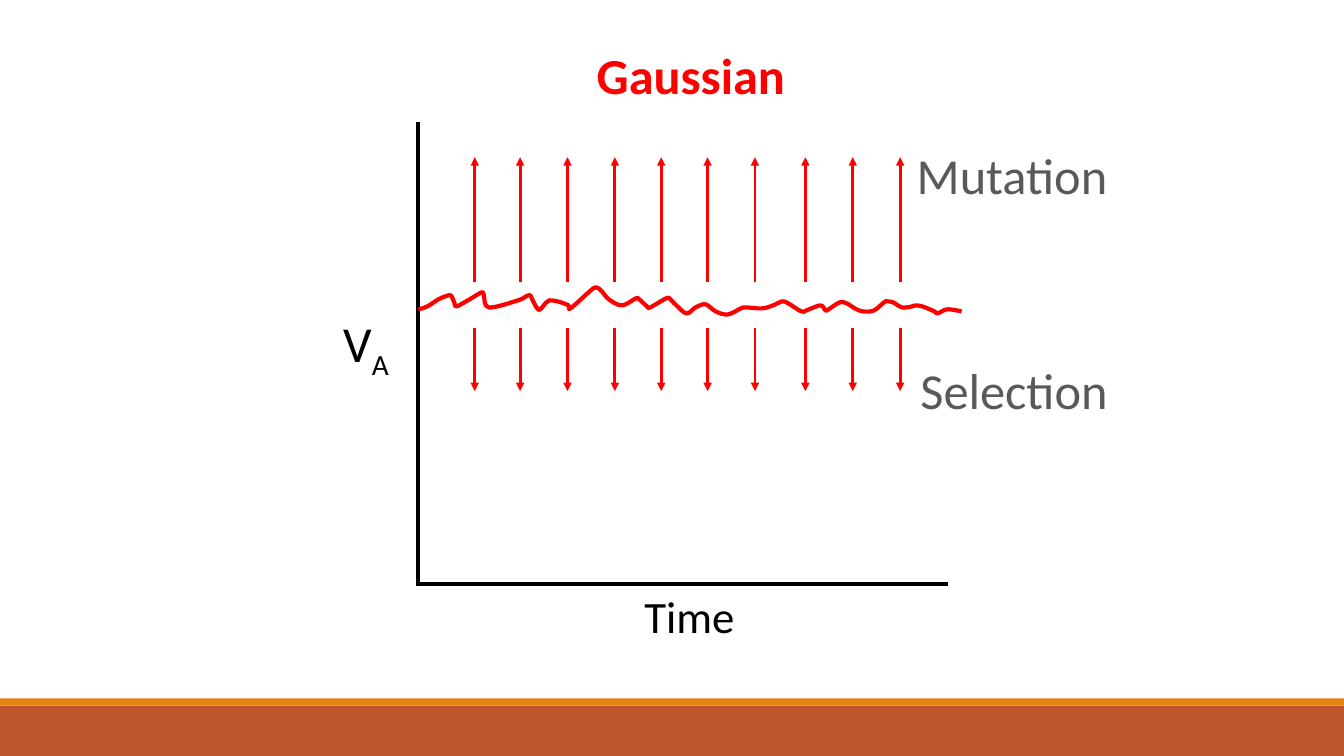
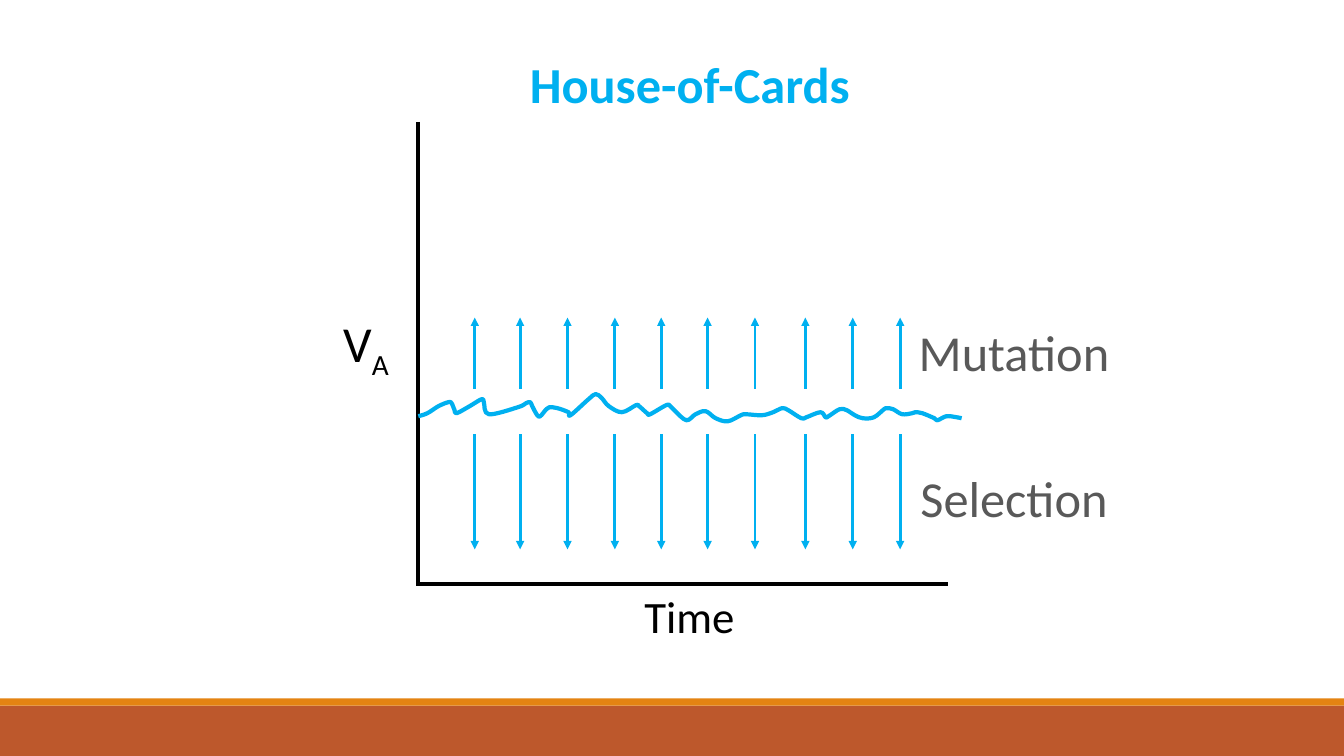
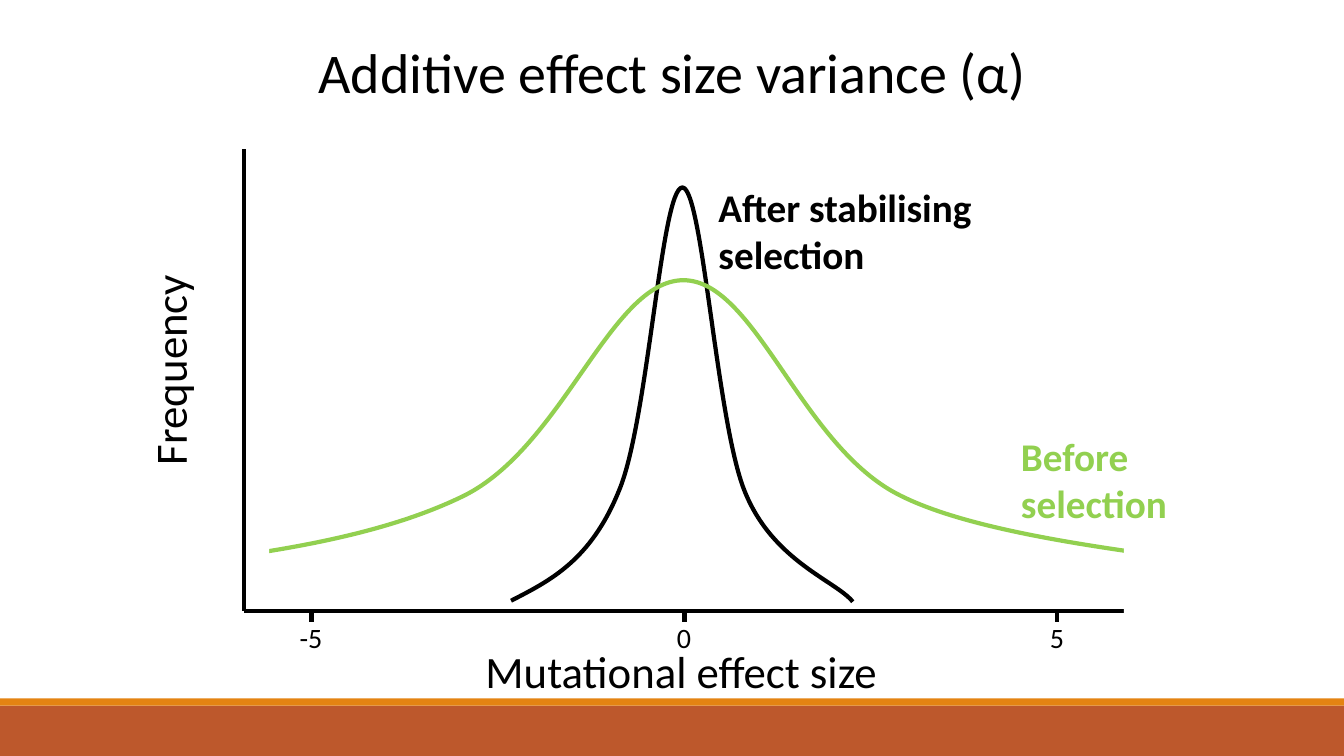
from lxml.etree import Element, SubElement
from pptx import Presentation
from pptx.dml.color import RGBColor
from pptx.enum.shapes import MSO_CONNECTOR, MSO_SHAPE
from pptx.enum.text import MSO_AUTO_SIZE, PP_ALIGN
from pptx.oxml.ns import qn
from pptx.util import Emu, Pt

EMU_PER_PX = 9144  # 100 px to the inch
PAGE_WIDTH, PAGE_HEIGHT = 1333.33, 750


class Theme:
    font = "Calibri"
    black, white, gray = "000000", "FFFFFF", "595959"
    red, blue, green = "FF0000", "00B0F0", "92D050"
    rust, orange = "BD582C", "E48312"
    title, heading, axis, note, tick = 40, 36, 32, 28, 20
    line, arrow = 3, 2


BANDS = [(700, 50, Theme.rust), (693, 7, Theme.orange)]  # top, height, colour

# Each force: name, label corner, arrow top and bottom, arrowhead end
MODELS = [
    {
        "title": "Gaussian", "title_box": (417, 39, 537, 71),
        "color": Theme.red, "wave_top": 307,
        "forces": [("Mutation", (895, 138), (156, 280), "headEnd"),
                   ("Selection", (897, 351), (325, 388), "tailEnd")],
    },
    {
        "title": "House-of-Cards", "title_box": (480, 48, 409, 71),
        "color": Theme.blue, "wave_top": 413,
        "forces": [("Mutation", (897, 314), (315, 386), "headEnd"),
                   ("Selection", (897, 458), (431, 545), "tailEnd")],
    },
]
ARROW_LEFTS = [471, 516, 563, 610, 656, 702, 749, 799, 846, 893]

# Wave corners: left, height relative to the start of the wave
WAVE = [
    (415, 0), (424, -3), (435, -10), (445, -14), (448, -13), (451, -6),
    (453, -3), (466, -10), (478, -17), (480, -14), (485, -2), (514, -9),
    (522, -13), (526, -14), (528, -10), (533, -1), (536, 0), (542, -7),
    (545, -9), (553, -8), (564, -4), (566, -1), (584, -17), (591, -22),
    (597, -18), (604, -10), (617, -4), (631, -11), (634, -10), (642, -3),
    (645, -2), (661, -11), (665, -10), (670, -5), (681, 4), (690, -2),
    (700, -5), (710, 2), (722, 5), (735, -1), (740, -2), (756, -1),
    (767, -4), (776, -8), (782, -6), (795, 2), (800, 1), (814, -4),
    (819, 1), (822, 0), (833, -7), (840, -6), (848, -1), (856, 2),
    (867, 1), (877, -7), (880, -8), (886, -7), (895, -2), (905, -3),
    (908, -4), (915, -3), (927, 2), (930, 4), (939, 0), (949, 1), (954, 2),
]

# Bezier chains: a start, then two handles and an end for every piece
AFTER_SELECTION = [
    (507, 596), (546, 576), (586, 556), (614, 487),
    (643, 419), (656, 186), (677, 186),
    (697, 186), (711, 420), (739, 488),
    (767, 557), (829, 576), (846, 597),
]
BEFORE_SELECTION = [
    (85, 569), (223, 555), (362, 540), (460, 492),
    (559, 443), (606, 278), (678, 278),
    (750, 278), (795, 444), (894, 492),
    (992, 541), (1209, 554), (1268, 570),
]
EFFECT_TICKS = [0, 5, -5]
EFFECT_ORIGIN, EFFECT_UNIT = 679, 74


def px(value):
    return Emu(round(value * EMU_PER_PX))


def color_of(code):
    return RGBColor.from_string(code)


def add_rect(page, left, top, width, height, color):
    rect = page.shapes.add_shape(
        MSO_SHAPE.RECTANGLE, px(left), px(top), px(width), px(height))
    rect.shadow.inherit = False
    rect.fill.solid()
    rect.fill.fore_color.rgb = color_of(color)
    rect.line.fill.background()
    return rect


def add_text(page, text, frame, *, size, color=Theme.black, bold=False,
             align=PP_ALIGN.CENTER, rotation=0, subscript=""):
    box = page.shapes.add_textbox(*map(px, frame))
    box.rotation = rotation
    box.text_frame.word_wrap = True
    box.text_frame.auto_size = MSO_AUTO_SIZE.SHAPE_TO_FIT_TEXT
    para = box.text_frame.paragraphs[0]
    para.alignment = align
    for part in filter(None, (text, subscript)):
        span = para.add_run()
        span.text = part
        span.font.name = Theme.font
        span.font.size = Pt(size)
        span.font.bold = bold
        span.font.color.rgb = color_of(color)
    if subscript:
        list(box.element.iter(qn("a:rPr")))[-1].set("baseline", "-25000")


def add_line(parent, start, end, *, color=Theme.black, width=Theme.line,
             arrow=None):
    """Draw a line; arrow names the end that has a head: headEnd or tailEnd."""
    connector = parent.shapes.add_connector(
        MSO_CONNECTOR.STRAIGHT, *map(px, (*start, *end)))
    connector.line.color.rgb = color_of(color)
    connector.line.width = Pt(width)
    properties = connector.element.spPr
    if arrow:
        SubElement(properties.find(qn("a:ln")), qn(f"a:{arrow}"), type="triangle")
    SubElement(properties, qn("a:effectLst"))


def add_curve(page, chain, color):
    """Draw a Bezier chain: a freeform whose segments become curves."""
    points = [(px(x), px(y)) for x, y in chain]
    builder = page.shapes.build_freeform(*points[0], scale=1.0)
    builder.add_line_segments(points[3::3], close=False)
    curve = builder.convert_to_shape()
    for index, segment in enumerate(list(curve.element.iter(qn("a:lnTo")))):
        bend = Element(qn("a:cubicBezTo"))
        for x, y in points[3 * index + 1:3 * index + 4]:
            SubElement(bend, qn("a:pt"),
                       x=str(x - curve.left), y=str(y - curve.top))
        segment.getparent().replace(segment, bend)
    curve.shadow.inherit = False
    curve.fill.background()
    curve.line.color.rgb = color_of(color)
    curve.line.width = Pt(Theme.line)


def smooth_chain(points):
    """Join points by a Catmull-Rom spline, given as a Bezier chain."""
    padded = [points[0], *points, points[-1]]
    chain = [points[0]]
    for before, start, end, after in zip(padded, padded[1:], padded[2:], padded[3:]):
        chain += [
            tuple(s + (e - b) / 6 for b, s, e in zip(before, start, end)),
            tuple(e - (a - s) / 6 for s, e, a in zip(start, end, after)),
            end,
        ]
    return chain


def add_bands(page):
    """Put the bottom bands on the layout that all pages share."""
    layout = page.slide_layout
    for holder in list(layout.placeholders):
        layout.shapes.element.remove(holder.element)
    for top, height, color in BANDS:
        band = add_rect(page, 0, top, PAGE_WIDTH, height, color)
        layout.shapes.element.append(band.element)


def add_model(page, model):
    color = model["color"]
    for name, corner, *_ in model["forces"]:
        add_text(page, name, (*corner, 218, 71), size=Theme.heading,
                 color=Theme.gray)
    add_line(page, (415, 121), (415, 579))
    add_line(page, (940, 579), (413, 579))
    wave = [(x, model["wave_top"] + y) for x, y in WAVE]
    add_curve(page, smooth_chain(wave), color)
    add_text(page, "V", (274, 305, 178, 71), size=Theme.heading, subscript="A")
    add_text(page, "Time", (569, 579, 230, 64), size=Theme.axis)
    for _, _, (top, bottom), head in reversed(model["forces"]):
        arrows = page.shapes.add_group_shape()
        for left in ARROW_LEFTS:
            add_line(arrows, (left, top), (left, bottom), color=color,
                     width=Theme.arrow, arrow=head)
    add_text(page, model["title"], model["title_box"], size=Theme.heading,
             color=color, bold=True)


def add_variance(page):
    axis_left, axis_top = 242, 606
    add_curve(page, AFTER_SELECTION, Theme.black)
    add_curve(page, BEFORE_SELECTION, Theme.green)
    # White panels trim the wide curve at both ends of the plot
    add_rect(page, 0, 340, 267, 267, Theme.white)
    add_line(page, (axis_left, 148), (axis_left, axis_top))
    add_line(page, (1125, axis_top), (axis_left, axis_top))
    add_rect(page, 1115, 377, 191, 267, Theme.white)
    add_text(page, "Frequency", (17, 335, 302, 64), size=Theme.axis, rotation=270)
    add_text(page, "Mutational effect size", (443, 634, 466, 64), size=Theme.axis)
    for value in EFFECT_TICKS:
        left = EFFECT_ORIGIN + value * EFFECT_UNIT
        add_line(page, (left, axis_top), (left, axis_top + 11))
        add_text(page, str(value), (left - 38, axis_top + 5, 75, 44),
                 size=Theme.tick)
    add_text(page, "Before selection", (1003, 424, 189, 104), size=Theme.note,
             color=Theme.green, bold=True, align=PP_ALIGN.LEFT)
    add_text(page, "After stabilising selection", (703, 177, 287, 104),
             size=Theme.note, bold=True, align=PP_ALIGN.LEFT)
    add_text(page, "Additive effect size variance (α)", (160, 32, 1014, 77),
             size=Theme.title)


def main():
    deck = Presentation()
    deck.slide_width, deck.slide_height = px(PAGE_WIDTH), px(PAGE_HEIGHT)
    blank = deck.slide_layouts[6]
    pages = [deck.slides.add_slide(blank) for _ in range(len(MODELS) + 1)]
    add_bands(pages[0])
    for page, model in zip(pages, MODELS):
        add_model(page, model)
    add_variance(pages[-1])
    deck.save("out.pptx")


if __name__ == "__main__":
    main()
